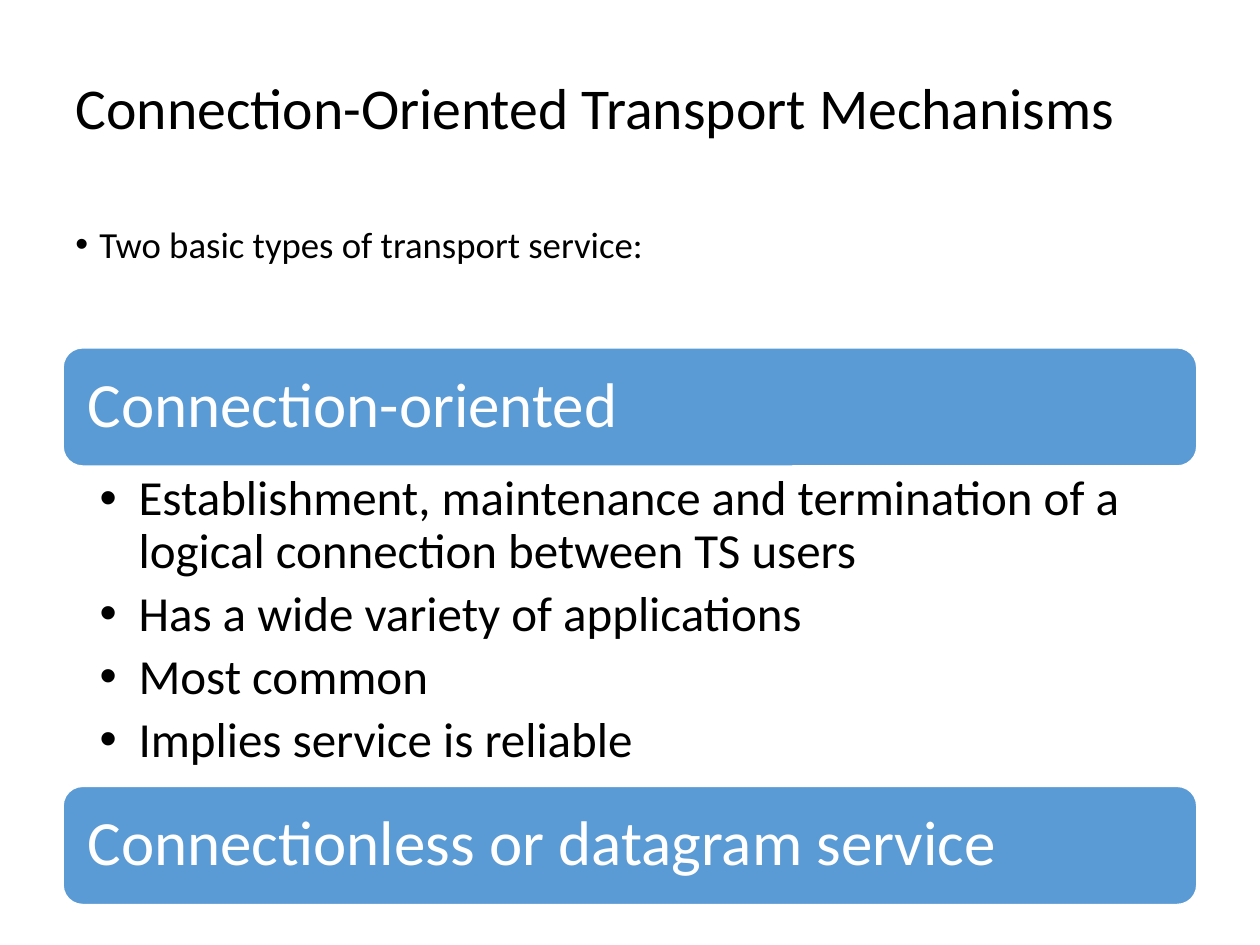
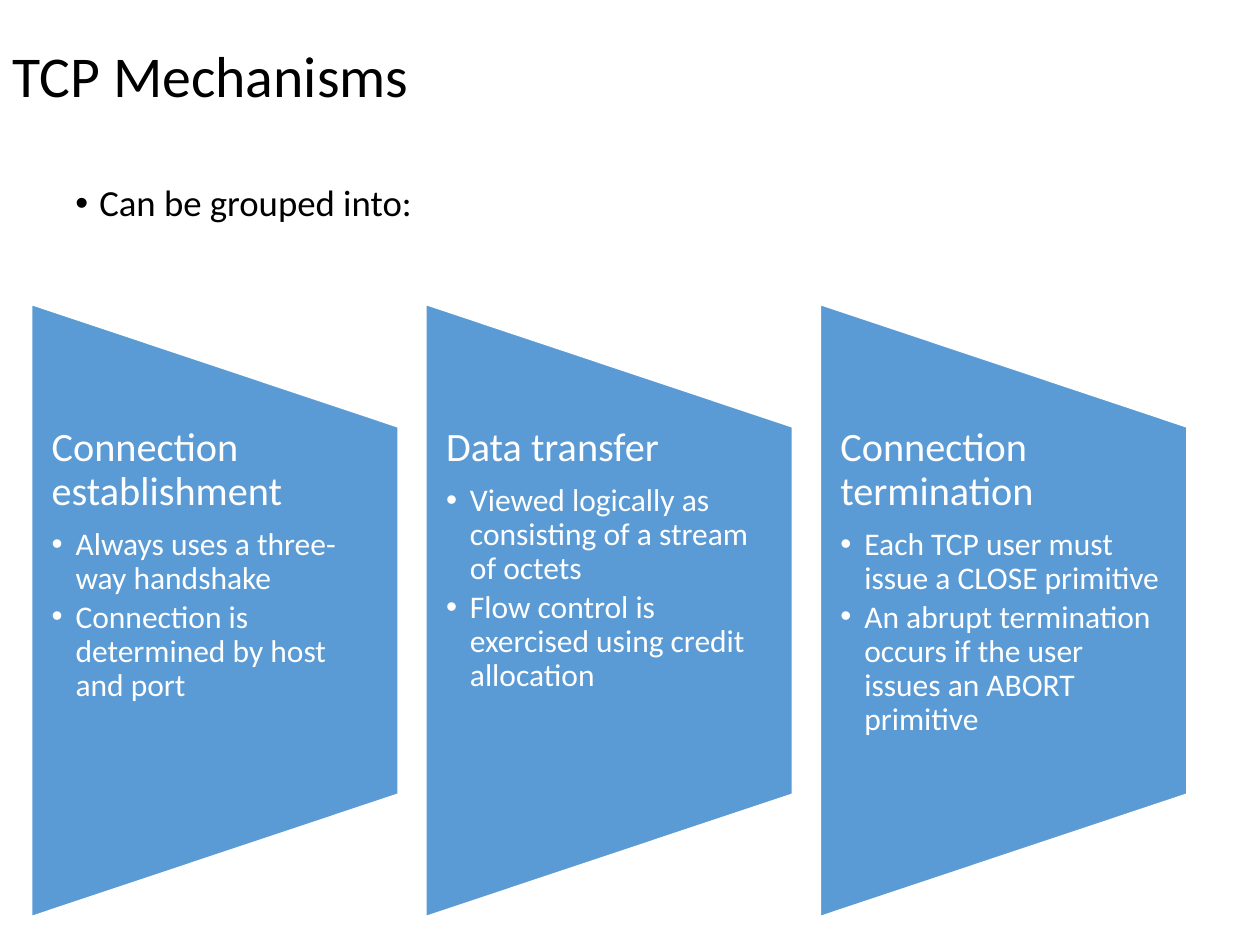
from lxml import etree
from pptx import Presentation
from pptx.dml.color import RGBColor
from pptx.enum.shapes import MSO_SHAPE
from pptx.enum.text import MSO_ANCHOR, MSO_AUTO_SIZE, PP_ALIGN
from pptx.oxml.ns import qn
from pptx.util import Inches, Pt

BLACK = RGBColor(0x00, 0x00, 0x00)
WHITE = RGBColor(0xFF, 0xFF, 0xFF)
BLUE = RGBColor(0x5B, 0x9B, 0xD5)
FONT = "Calibri"
ROUNDED = MSO_SHAPE.ROUNDED_RECTANGLE
TRAPEZOID = MSO_SHAPE.FLOWCHART_MANUAL_OPERATION
TOP, MIDDLE = MSO_ANCHOR.TOP, MSO_ANCHOR.MIDDLE
NO_AUTOFIT = MSO_AUTO_SIZE.NONE
LEFT = PP_ALIGN.LEFT

TITLE_SIZE, INTRO_SIZE = 33, 21
BANNER_SIZE, POINT_SIZE = 36, 28
HEADING_SIZE, DETAIL_SIZE = 23, 18


def write(shape, lines, color, insets=(0.1, 0.05, 0.1, 0.05), anchor=TOP):
    """Fill shape with lines of (text, size, bullet indent, level, space before, space after)."""
    frame = shape.text_frame
    frame.text = "\n".join(line[0] for line in lines)
    frame.word_wrap = True
    frame.auto_size = NO_AUTOFIT
    frame.vertical_anchor = anchor
    frame.margin_left, frame.margin_top, frame.margin_right, frame.margin_bottom = map(Inches, insets)
    for paragraph, (_, size, indent, level, before, after) in zip(frame.paragraphs, lines):
        paragraph.alignment = LEFT
        paragraph.level = level
        paragraph.line_spacing = 0.9
        paragraph.space_before, paragraph.space_after = Pt(before), Pt(after)
        for run in paragraph.runs:
            run.font.name, run.font.size = FONT, Pt(size)
            run.font.color.rgb = color
        if indent:
            properties = paragraph._p.get_or_add_pPr()
            properties.set("marL", str(Inches(indent)))
            properties.set("indent", str(-Inches(indent)))
            etree.SubElement(properties, qn("a:buFont")).set("typeface", "Arial")
            etree.SubElement(properties, qn("a:buChar")).set("char", "•")


def add_blue_shape(slide, kind, left, top, width, height):
    shape = slide.shapes.add_shape(kind, Inches(left), Inches(top), Inches(width), Inches(height))
    shape.shadow.inherit = False
    shape.fill.solid()
    shape.fill.fore_color.rgb = BLUE
    shape.line.color.rgb = WHITE
    shape.line.width = Pt(1)
    return shape


prs = Presentation()
prs.slide_width, prs.slide_height = Inches(10), Inches(7.5)

# Titles and introductory bullets: text and box of each
openings = [
    ("Connection-Oriented Transport Mechanisms", (0.5, 0.17, 9, 1.42),
     "Two basic types of transport service:", (0.5, 1.75, 9, 5.75)),
    ("TCP Mechanisms", (0, 0, 10, 1.25),
     "Can be grouped into:", (0.5, 1.42, 9, 6.08)),
]
slides = []
for title_text, title_box, intro_text, intro_box in openings:
    slide = prs.slides.add_slide(prs.slide_layouts[5])
    title = slide.shapes.title
    title.left, title.top, title.width, title.height = map(Inches, title_box)
    write(title, [(title_text, TITLE_SIZE, 0, 0, 0, 0)], BLACK, anchor=MIDDLE)
    intro = slide.shapes.add_textbox(*map(Inches, intro_box))
    write(intro, [(intro_text, INTRO_SIZE, 0.19, 0, 7.5, 0)], BLACK)
    slides.append(slide)
services_slide, tcp_slide = slides

# Transport services: two banners with the points of the first between them
for service, banner_top in [("Connection-oriented", 2.76),
                            ("Connectionless or datagram service", 6.24)]:
    banner = add_blue_shape(services_slide, ROUNDED, 0.5, banner_top, 9, 0.94)
    write(banner, [(service, BANNER_SIZE, 0, 0, 0, 0)], WHITE, (0.15,) * 4, MIDDLE)

service_points = [
    "Establishment, maintenance and termination of a logical connection between TS users",
    "Has a wide variety of applications",
    "Most common",
    "Implies service is reliable",
]
points = services_slide.shapes.add_textbox(Inches(0.5), Inches(3.71), Inches(9), Inches(2.53))
write(points, [(point, POINT_SIZE, 0.31, 1, 0, 0.2 * POINT_SIZE) for point in service_points],
      BLACK, (0.29, 0.05, 0.28, 0.05))

# TCP mechanisms: three trapezoids turned on their side, each under a column of text
mechanisms = [
    ("Connection establishment",
     ["Always uses a three-way handshake",
      "Connection is determined by host and port"]),
    ("Data transfer",
     ["Viewed logically as consisting of a stream of octets",
      "Flow control is exercised using credit allocation"]),
    ("Connection termination",
     ["Each TCP user must issue a CLOSE primitive",
      "An abrupt termination occurs if the user issues an ABORT primitive"]),
]
COLUMN_LEFT, COLUMN_TOP, COLUMN_WIDTH, COLUMN_PITCH = 0.25, 3.39, 2.91, 3.13
TRAPEZOID_LENGTH = 4.86
for index, (heading, details) in enumerate(mechanisms):
    left = COLUMN_LEFT + index * COLUMN_PITCH
    trapezoid = add_blue_shape(tcp_slide, TRAPEZOID, left - (TRAPEZOID_LENGTH - COLUMN_WIDTH) / 2,
                               COLUMN_TOP, TRAPEZOID_LENGTH, COLUMN_WIDTH)
    trapezoid.rotation = 270
    column = tcp_slide.shapes.add_textbox(Inches(left), Inches(COLUMN_TOP),
                                          Inches(COLUMN_WIDTH), Inches(2.92))
    lines = [(heading, HEADING_SIZE, 0, 0, 0, 0.35 * HEADING_SIZE)]
    lines += [(detail, DETAIL_SIZE, 0.19, 1, 0, 0.15 * DETAIL_SIZE) for detail in details]
    write(column, lines, WHITE, (0.16, 0, 0.16, 0))

prs.save("out.pptx")
